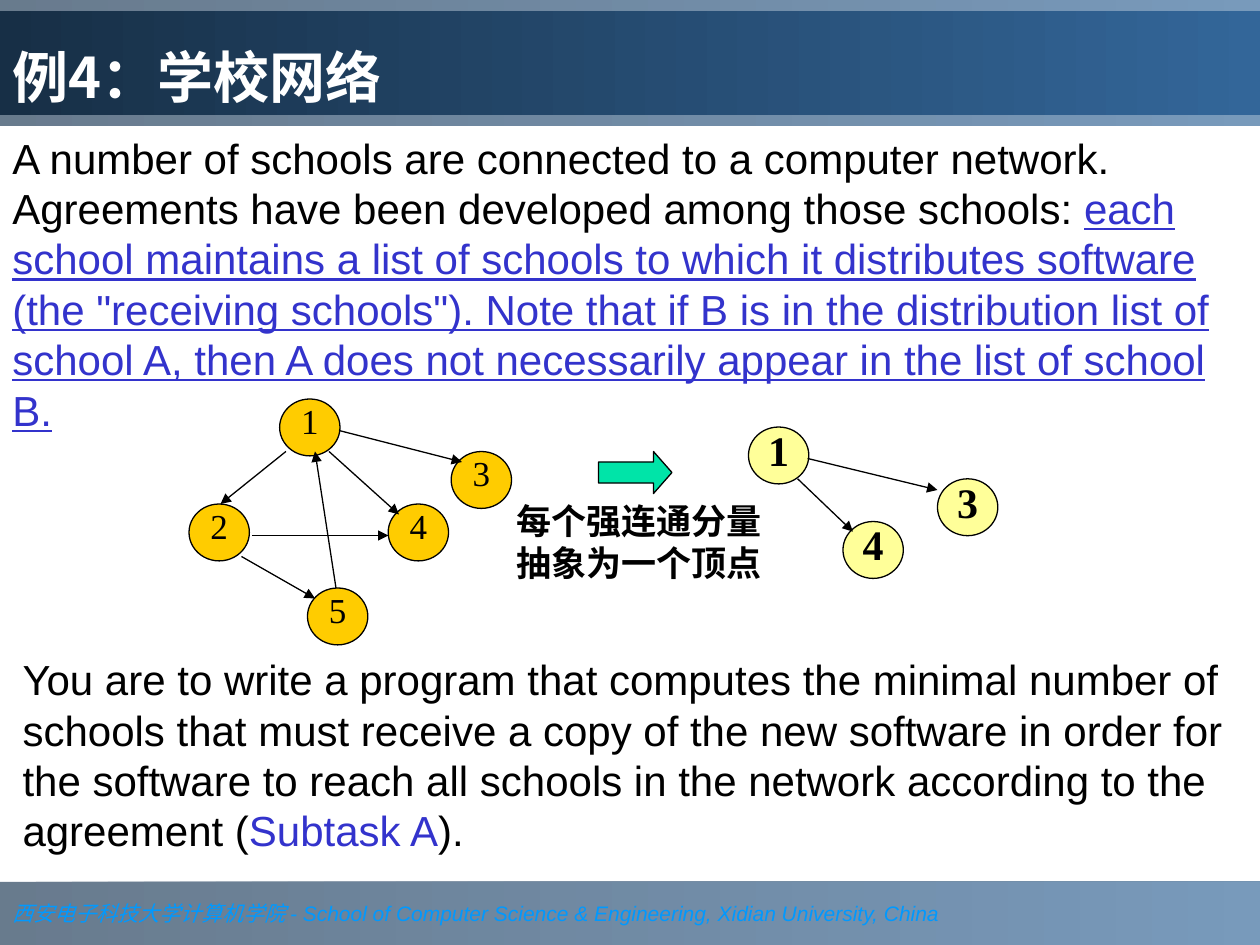
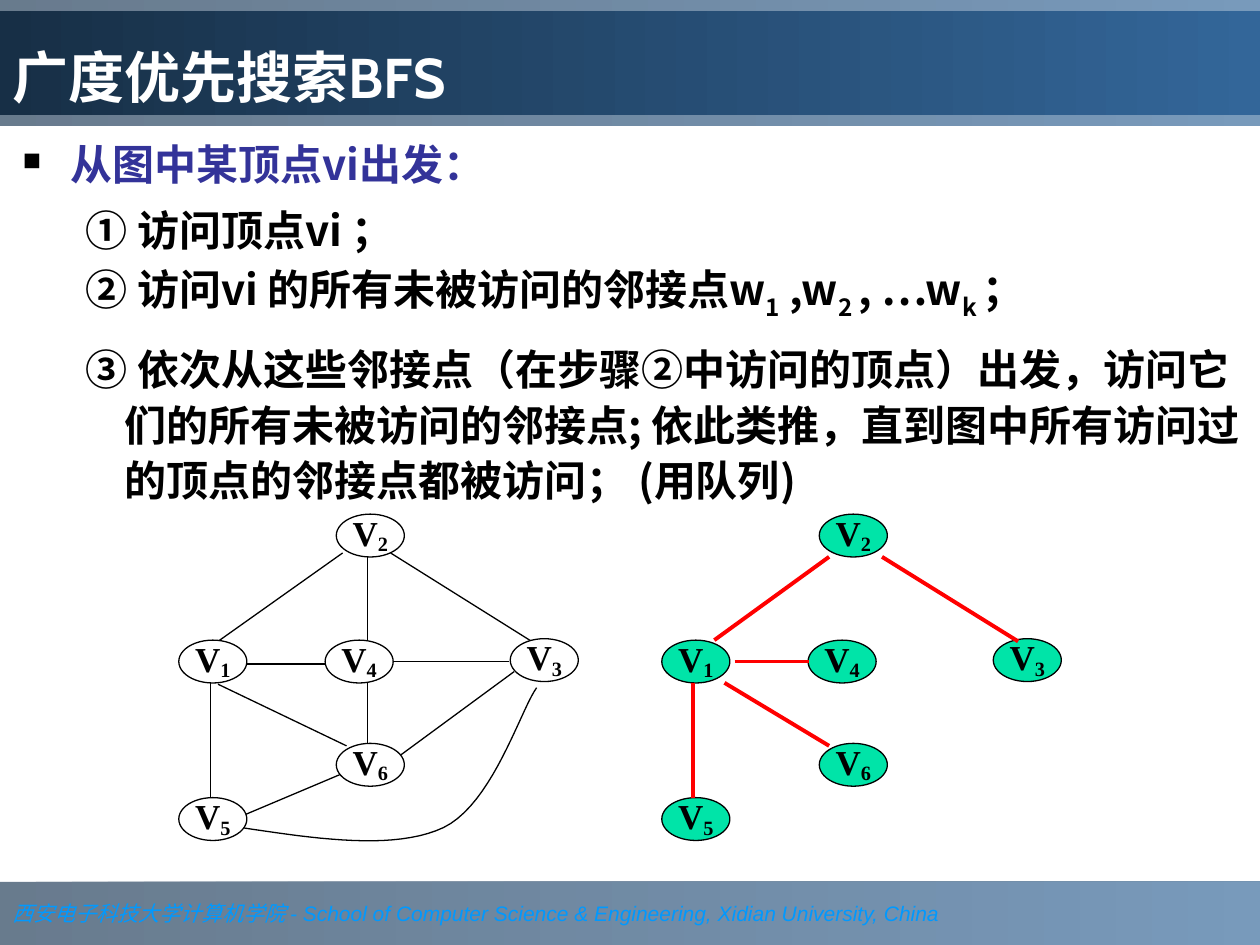
"""Build two slides on graph problems: the school network and breadth-first search."""
from dataclasses import dataclass, field
from typing import Any, NamedTuple, Optional, Sequence

from lxml import etree
from pptx import Presentation
from pptx import util as u
from pptx.dml.color import RGBColor
from pptx.enum import shapes, text
from pptx.oxml.ns import qn

BLACK, WHITE, BLUE, INDIGO = "000000", "FFFFFF", "3333CC", "333399"
GOLD, CREAM, GREEN, RED, SKY = "FFCC00", "FFFF99", "00E4A8", "FF0000", "0099FF"
STEEL, NAVY, MIDNIGHT = "336699", "1B3753", "172F46"
CJK, CABIN, ARIAL, TIMES = "Noto Sans CJK SC", "Cabin", "Arial", "Times New Roman"
TREE_SHIFT = 276


class Box(NamedTuple):
    left: float
    top: float
    width: float
    height: float


class Edge(NamedTuple):
    x1: float
    y1: float
    x2: float
    y2: float


@dataclass
class Span:
    words: str
    size: float
    font: str
    color: str = BLACK
    style: dict[str, Any] = field(default_factory=dict)
    baseline: int = 0


@dataclass
class Para:
    spans: Sequence[Span]
    layout: dict[str, Any] = field(default_factory=dict)
    margin: float = 0
    hanging: float = 0
    bullet: str = ""


@dataclass
class NodeStyle:
    width: float
    height: float
    fill: str
    size: float
    bold: bool
    spacing: float
    top_inset: float = 0


def color(code: str) -> RGBColor:
    return RGBColor.from_string(code)


def apply(target: Any, values: dict[str, Any]) -> None:
    for name, value in values.items():
        setattr(target, name, value)


def frame_format(left: float = 7.2, top: float = 3.6, right: float = 7.2, bottom: float = 3.6,
                 anchor: Any = text.MSO_ANCHOR.TOP, wrap: bool = True) -> dict[str, Any]:
    return {"margin_left": u.Pt(left), "margin_top": u.Pt(top), "margin_right": u.Pt(right),
            "margin_bottom": u.Pt(bottom), "vertical_anchor": anchor, "word_wrap": wrap}


def write(shape: Any, paras: Sequence[Para], frame: dict[str, Any]) -> None:
    apply(shape.text_frame, frame)
    for index, para in enumerate(paras):
        line = shape.text_frame.add_paragraph() if index else shape.text_frame.paragraphs[0]
        props = line._p.get_or_add_pPr()
        props.set("marL", str(u.Pt(para.margin)))
        props.set("indent", str(u.Pt(-para.hanging)))
        if para.bullet:
            tint = etree.SubElement(props, qn("a:buClr"))
            etree.SubElement(tint, qn("a:srgbClr"), val=BLACK)
            etree.SubElement(props, qn("a:buSzPct"), val="60000")
            etree.SubElement(props, qn("a:buChar"), char=para.bullet)
        apply(line, {"alignment": text.PP_ALIGN.LEFT, **para.layout})
        for span in para.spans:
            run = line.add_run()
            run.text = span.words
            apply(run.font, {"name": span.font, "size": u.Pt(span.size), **span.style})
            run.font.color.rgb = color(span.color)
            rpr = run._r.get_or_add_rPr()
            etree.SubElement(rpr, qn("a:ea"), typeface=CJK)
            if span.baseline:
                rpr.set("baseline", str(span.baseline * 1000))


def add_text(slide: Any, box: Box, paras: Sequence[Para]) -> None:
    write(slide.shapes.add_textbox(*map(u.Pt, box)), paras, frame_format())


def add_preset(slide: Any, kind: Any, box: Box, fill: str) -> Any:
    shape = slide.shapes.add_shape(kind, *map(u.Pt, box))
    shape.shadow.inherit = False
    shape.fill.solid()
    shape.fill.fore_color.rgb = color(fill)
    shape.line.color.rgb = color(BLACK)
    shape.line.width = u.Pt(0.75)
    return shape


def add_band(slide: Any, box: Box, dark: str, opacity: int = 100) -> Any:
    band = add_preset(slide, shapes.MSO_SHAPE.RECTANGLE, box, dark)
    band.line.fill.background()
    band.fill.gradient()
    band.fill.gradient_angle = 0
    for stop, code in zip(band.fill.gradient_stops, (dark, STEEL)):
        stop.color.rgb = color(code)
    if opacity < 100:
        for tint in band._element.spPr.iter(qn("a:srgbClr")):
            etree.SubElement(tint, qn("a:alpha"), val=str(opacity * 1000))
    return band


def add_edges(slide: Any, edges: Sequence[Edge], code: str = BLACK,
              width: float = 0.75, arrow: bool = False) -> None:
    for edge in edges:
        link = slide.shapes.add_connector(shapes.MSO_CONNECTOR.STRAIGHT, *map(u.Pt, edge))
        link.line.color.rgb = color(code)
        link.line.width = u.Pt(width)
        props = link._element.spPr
        if arrow:
            etree.SubElement(props.find(qn("a:ln")), qn("a:tailEnd"), type="triangle")
        etree.SubElement(props, qn("a:effectLst"))


def add_node(slide: Any, left: float, top: float, label: str, style: NodeStyle,
             subscript: Optional[str] = None) -> None:
    node = add_preset(slide, shapes.MSO_SHAPE.OVAL,
                      Box(left, top, style.width, style.height), style.fill)
    spans = [Span(label, style.size, TIMES, style={"bold": style.bold})]
    if subscript:
        spans.append(Span(subscript, style.size, TIMES, style={"bold": style.bold}, baseline=-16))
    layout = {"alignment": text.PP_ALIGN.CENTER, "line_spacing": style.spacing}
    write(node, [Para(spans, layout)], frame_format(0, style.top_inset, 0, 0))


def add_curve(slide: Any, start: tuple[float, float],
              bends: Sequence[Sequence[tuple[float, float]]], steps: int = 20) -> None:
    points, here = [], start
    for first, second, end in bends:
        for step in range(1, steps + 1):
            t = step / steps
            weights = ((1 - t) ** 3, 3 * t * (1 - t) ** 2, 3 * t * t * (1 - t), t ** 3)
            corners = (here, first, second, end)
            points.append(tuple(u.Pt(sum(w * c[axis] for w, c in zip(weights, corners)))
                                for axis in (0, 1)))
        here = end
    builder = slide.shapes.build_freeform(*map(u.Pt, start))
    builder.add_line_segments(points, close=False)
    curve = builder.convert_to_shape()
    curve.shadow.inherit = False
    curve.fill.background()
    curve.line.color.rgb = color(BLACK)
    curve.line.width = u.Pt(0.75)


def start_slide(deck: Any, title: Sequence[tuple[str, str]]) -> Any:
    slide = deck.slides.add_slide(deck.slide_layouts[6])
    footer = add_band(slide, Box(0, 504, 720, 36), NAVY, 66)
    school = [Span("西安电子科技大学计算机学院 ", 12, TIMES, SKY, {"italic": True}),
              Span("- School of Computer Science & Engineering, Xidian University, China",
                   12, ARIAL, SKY, {"italic": True})]
    write(footer, [Para(school)], frame_format(anchor=text.MSO_ANCHOR.MIDDLE, wrap=False))
    add_band(slide, Box(0, 0, 720, 72), NAVY, 66)
    heading = add_band(slide, Box(0, 6, 720, 60), MIDNIGHT)
    spans = [Span(words, 32, font, WHITE, {"bold": True}) for words, font in title]
    write(heading, [Para(spans)], frame_format(anchor=text.MSO_ANCHOR.BOTTOM))
    return slide


def build_school_network(deck: Any) -> None:
    slide = start_slide(deck, [("例4：学校", CJK), ("网络", CABIN)])
    prose = {"line_spacing": u.Pt(28.8)}
    add_text(slide, Box(0, 72, 720, 180), [Para([
        Span("A number of schools are connected to a computer network. Agreements have been "
             "developed among those schools: ", 24, ARIAL),
        Span("each school maintains a list of schools to which it distributes software "
             "(the \"receiving schools\"). Note that if B is in the distribution list of "
             "school A, then A does not necessarily appear in the list of school B.",
             24, ARIAL, BLUE, {"underline": True})], prose)])

    school = NodeStyle(34.5, 32.5, GOLD, 20, False, 0.64, 3)
    for label, left, top in (("5", 175.7, 336), ("4", 221.8, 288), ("2", 108, 288),
                             ("3", 257.8, 258), ("1", 159.8, 228)):
        add_node(slide, left, top, label, school)
    add_edges(slide, [Edge(163.4, 258, 126, 288), Edge(188, 258, 228, 294),
                      Edge(144, 306, 222, 306), Edge(138, 318, 180, 342),
                      Edge(192, 336, 180, 258), Edge(193.7, 246, 264, 264)], arrow=True)

    add_text(slide, Box(5.8, 370, 720, 122.4), [Para([
        Span("You are to write a program that computes the minimal number of schools that must "
             "receive a copy of the new software in order for the software to reach all schools "
             "in the network according to the agreement (", 24, ARIAL),
        Span("Subtask A", 24, ARIAL, BLUE),
        Span(").", 24, ARIAL)], prose)])

    component = NodeStyle(34.5, 32.5, CREAM, 24, True, 0.64, 3)
    for label, left, top in (("4", 481.7, 298), ("3", 535.7, 273.6), ("1", 427.7, 244)):
        add_node(slide, left, top, label, component)
    add_edges(slide, [Edge(455.8, 273.6, 487.4, 303.8), Edge(461.5, 262, 535.7, 280)], arrow=True)

    step = add_preset(slide, shapes.MSO_SHAPE.RIGHT_ARROW, Box(342, 258, 42, 24), GREEN)
    step.adjustments[1] = 0.44
    add_text(slide, Box(288, 282, 168, 55.4), [Para(
        [Span("每个强连通分量抽象为一个顶点", 20, CABIN, style={"bold": True})],
        {"line_spacing": u.Pt(24)})])


def build_breadth_first(deck: Any) -> None:
    slide = start_slide(deck, [("广度优先搜索BFS", CABIN)])
    vertices = {"1": (102.2, 365.8), "2": (192.2, 293.8), "3": (291.6, 365),
                "4": (185.8, 365.8), "5": (102.2, 455.8), "6": (192.2, 424.8)}
    add_edges(slide, [Edge(195.8, 316, 124.6, 366.5), Edge(223.2, 316, 303.8, 366.5),
                      Edge(124.6, 391, 198, 426.2), Edge(190, 379.4, 132.5, 379.4),
                      Edge(220.3, 378, 291, 378), Edge(195.8, 442, 137.5, 466.6),
                      Edge(210.2, 365.8, 210.2, 318.2), Edge(293.8, 383.8, 228.2, 432),
                      Edge(120.2, 390.2, 120.2, 455.8), Edge(210.2, 390.2, 210.2, 426.2)])
    add_curve(slide, (138.2, 473), [((181.4, 479.5), (225.4, 486), (253.4, 473)),
                                    ((281.5, 459.4), (297.4, 406), (306.7, 393))])
    for shift, fill in ((0, WHITE), (TREE_SHIFT, GREEN)):
        vertex = NodeStyle(38.9, 24.5, fill, 20, True, 0.72)
        for number, (left, top) in vertices.items():
            add_node(slide, left + shift, top, "V", vertex, number)
    add_edges(slide, [Edge(408.2, 365.8, 473.8, 318.2), Edge(419.8, 378, 462.2, 378),
                      Edge(396, 390.2, 396, 455.8), Edge(414, 390.2, 473.8, 426.2),
                      Edge(504, 318.2, 581.8, 366.5)], RED, 2.25)

    steps = [[("① 访问顶点vi ；", 0)],
             [("② 访问vi 的所有未被访问的邻接点w", 0), ("1", -25), (" ,w", 0), ("2 ", -25),
              (", …w", 0), ("k ", -25), ("；", 0)],
             [("③ 依次从这些邻接点（在步骤②中访问的顶点）出发，访问它们的所有未被访问的邻接点; "
               "依此类推，直到图中所有访问过的顶点的邻接点都被访问； (用队列)", 0)]]
    bold, pitch = {"bold": True}, {"line_spacing": u.Pt(31.7)}
    paras = [Para([Span("从图中某顶点vi出发：", 24, CJK, INDIGO, bold)], pitch, 27.4, 27.4, "■")]
    for parts, gap in zip(steps, (6, 6, 10)):
        spans = [Span(words, 24, CJK, BLACK, bold, drop) for words, drop in parts]
        paras.append(Para(spans, {**pitch, "space_before": u.Pt(gap)}, 58.3, 22.3))
    add_text(slide, Box(5.8, 73, 714.2, 221), paras)


def main() -> None:
    deck = Presentation()
    apply(deck, {"slide_width": u.Pt(720), "slide_height": u.Pt(540)})
    build_school_network(deck)
    build_breadth_first(deck)
    deck.save("out.pptx")


if __name__ == "__main__":
    main()
